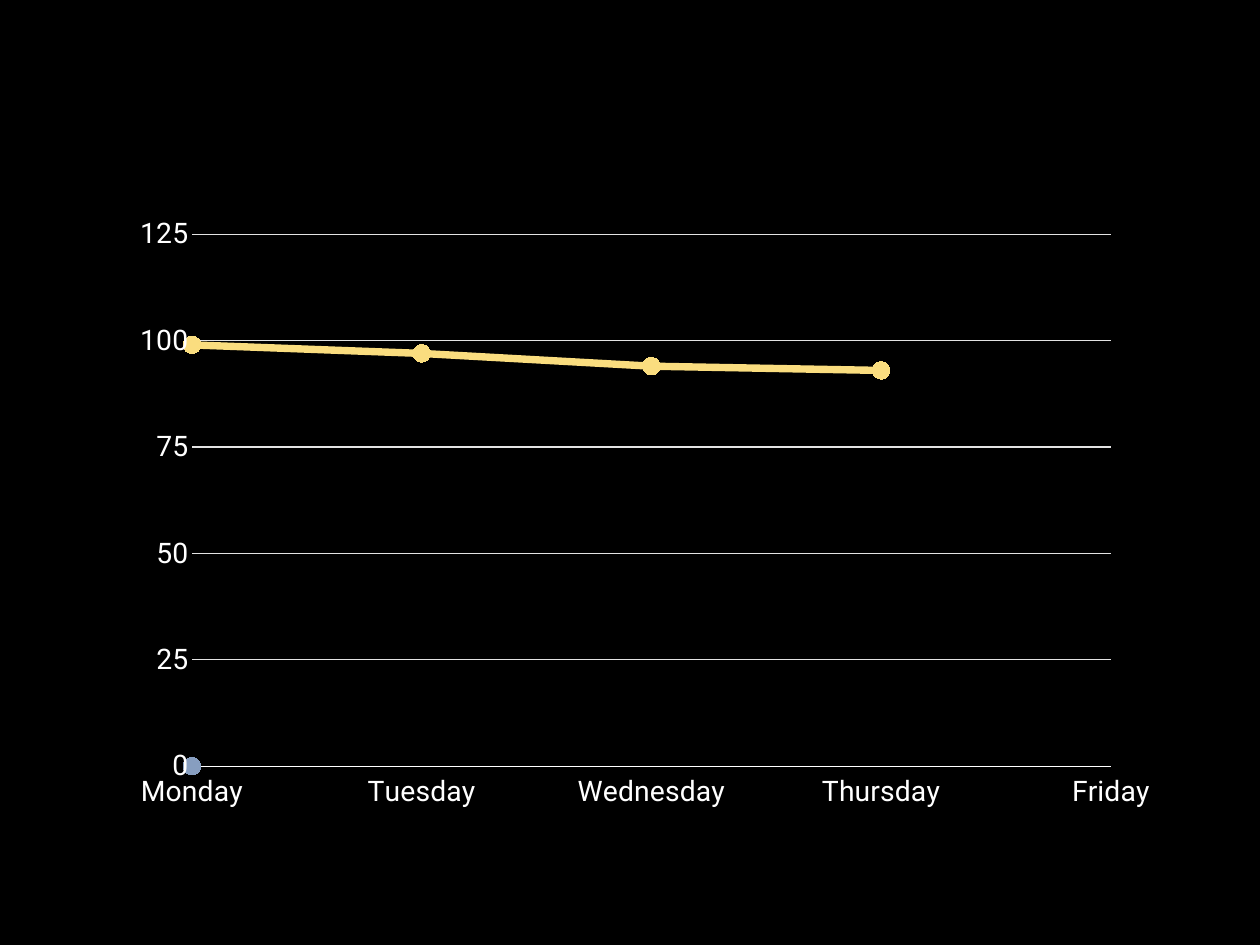
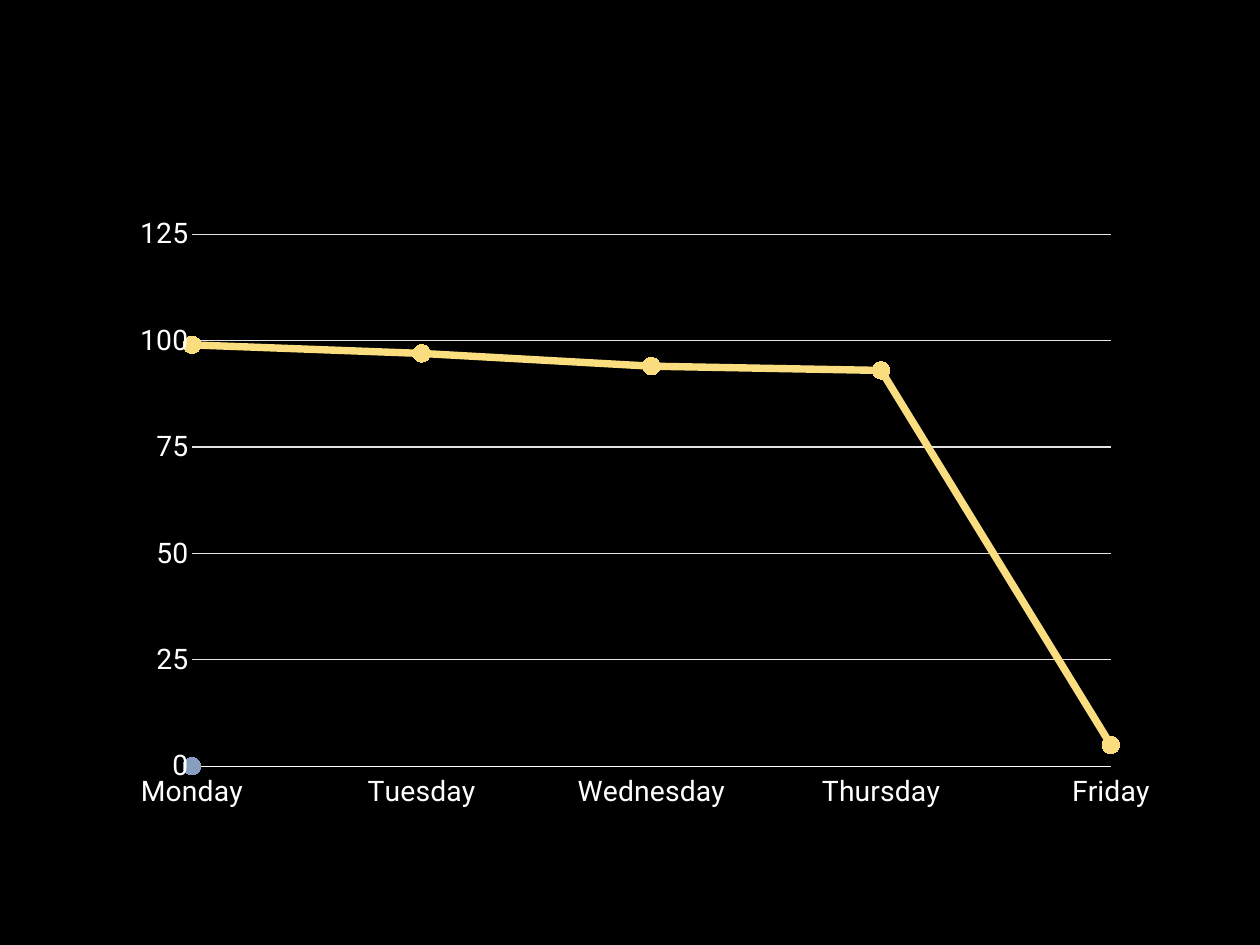
"""Build two slides that reveal a weekday line chart step by step."""
from dataclasses import dataclass

from lxml import etree
from pptx import Presentation
from pptx import util as u
from pptx.chart.data import CategoryChartData
from pptx.dml.color import RGBColor
from pptx.enum import chart as ch
from pptx.oxml import ns


@dataclass(frozen=True)
class Theme:
    """Colours, type and line sizes shared by both slides."""
    background: str = "000000"
    text: str = "FFFFFF"
    grid: str = "E3E3E3"
    series: tuple = ("FADD7F", "879EC0")
    font: str = "Roboto"
    base_size: int = 10
    label_size: int = 23
    thin: int = 1
    thick: int = 6
    marker: int = 14


THEME = Theme()
SLIDE_SIZE = (14.22, 10.67)
CHART_PERCENT = (9.77, 21.18, 81.58, 65.7)
PLOT_PERCENT = {"x": 6.7, "y": 5.5, "w": 89.4, "h": 85.7}
DAYS = ("Monday", "Tuesday", "Wednesday", "Thursday", "Friday")
FIRST_SERIES = (99, 97, 94, 93, 5)
SECOND_SERIES = (0,)
DAYS_SHOWN = (4, 5)


def set_all(target, formats):
    """Set every attribute named in a dict of format values."""
    for name, value in formats.items():
        setattr(target, name, value)


def style_font(font, size):
    """Apply the theme's typeface and text colour."""
    set_all(font, {"name": THEME.font, "size": u.Pt(size), "bold": False})
    font.color.rgb = RGBColor.from_string(THEME.text)


def style_line(line, color, width):
    """Give a line a solid colour and a width in points."""
    line.color.rgb = RGBColor.from_string(color)
    line.width = u.Pt(width)


def set_plot_layout(chart):
    """Fix the inner plot area as shares of the chart."""
    area = chart._chartSpace.find(".//" + ns.qn("c:plotArea"))
    for old in area.findall(ns.qn("c:layout")):
        area.remove(old)
    layout = etree.Element(ns.qn("c:layout"))
    manual = etree.SubElement(layout, ns.qn("c:manualLayout"))
    values = {"layoutTarget": "inner", "xMode": "edge", "yMode": "edge"}
    values.update({k: f"{v / 100:.3f}" for k, v in PLOT_PERCENT.items()})
    for name, value in values.items():
        etree.SubElement(manual, ns.qn("c:" + name)).set("val", value)
    area.insert(0, layout)


def start_on_axis(chart):
    """Put the first and last category on the plot edges."""
    axis = chart._chartSpace.find(".//" + ns.qn("c:valAx"))
    cross = axis.find(ns.qn("c:crossBetween"))
    if cross is None:
        cross = etree.Element(ns.qn("c:crossBetween"))
        axis.find(ns.qn("c:crosses")).addnext(cross)
    cross.set("val", "midCat")


def style_axes(chart):
    """Format both axes and the gridlines."""
    for axis in (chart.category_axis, chart.value_axis):
        set_all(axis, {"major_tick_mark": ch.XL_TICK_MARK.NONE,
                       "minor_tick_mark": ch.XL_TICK_MARK.NONE})
        style_font(axis.tick_labels.font, THEME.label_size)
    days, values = chart.category_axis, chart.value_axis
    days.tick_label_position = ch.XL_TICK_LABEL_POSITION.LOW
    style_line(days.format.line, THEME.text, THEME.thin)
    set_all(values, {"minimum_scale": 0, "maximum_scale": 125,
                     "major_unit": 25, "has_major_gridlines": True})
    values.format.line.fill.background()
    style_line(values.major_gridlines.format.line, THEME.grid, THEME.thin)
    start_on_axis(chart)


def style_series(series, color):
    """Format one line and its round markers."""
    series.smooth = False
    style_line(series.format.line, color, THEME.thick)
    set_all(series.marker, {"style": ch.XL_MARKER_STYLE.CIRCLE,
                            "size": THEME.marker})
    fill = series.marker.format.fill
    fill.solid()
    fill.fore_color.rgb = RGBColor.from_string(color)
    series.marker.format.line.fill.background()


def add_line_chart(s, prs, rows):
    """Add the weekday chart with one line per row of values."""
    data = CategoryChartData()
    data.categories = DAYS
    for number, row in enumerate(rows, 1):
        blanks = (None,) * (len(DAYS) - len(row))
        data.add_series(f"Series {number}", tuple(row) + blanks)
    sides = (prs.slide_width, prs.slide_height) * 2
    box = [int(side * share / 100) for side, share in zip(sides, CHART_PERCENT)]
    chart = s.shapes.add_chart(ch.XL_CHART_TYPE.LINE_MARKERS, *box, data).chart
    set_all(chart, {"has_title": False, "has_legend": False})
    style_font(chart.font, THEME.base_size)
    plot = chart.plots[0]
    plot.vary_by_categories = False
    for series, color in zip(plot.series, THEME.series):
        style_series(series, color)
    style_axes(chart)
    set_plot_layout(chart)


def main():
    """Build and save the presentation."""
    prs = Presentation()
    prs.slide_width, prs.slide_height = map(u.Inches, SLIDE_SIZE)
    fill = prs.slide_master.background.fill
    fill.solid()
    fill.fore_color.rgb = RGBColor.from_string(THEME.background)
    for count in DAYS_SHOWN:
        s = prs.slides.add_slide(prs.slide_layouts.get_by_name("Blank"))
        add_line_chart(s, prs, (FIRST_SERIES[:count], SECOND_SERIES))
    prs.save("out.pptx")


if __name__ == "__main__":
    main()
